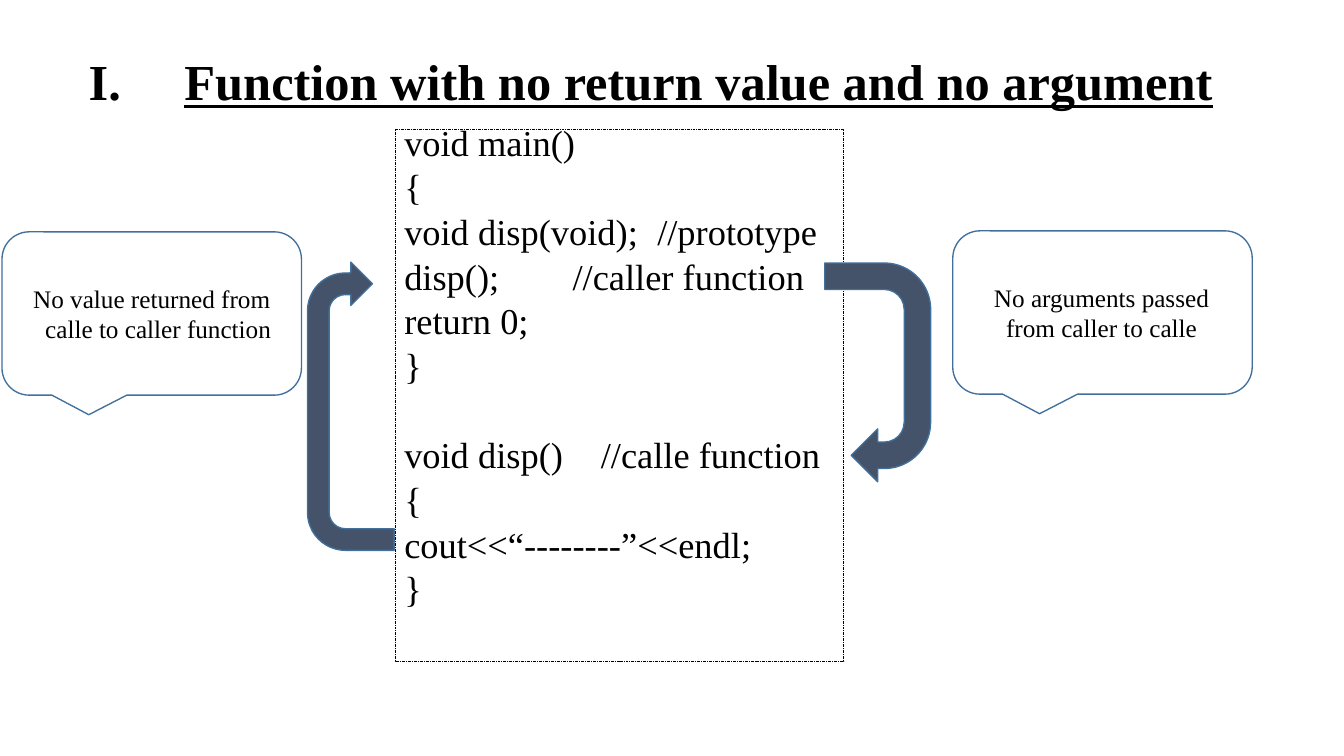
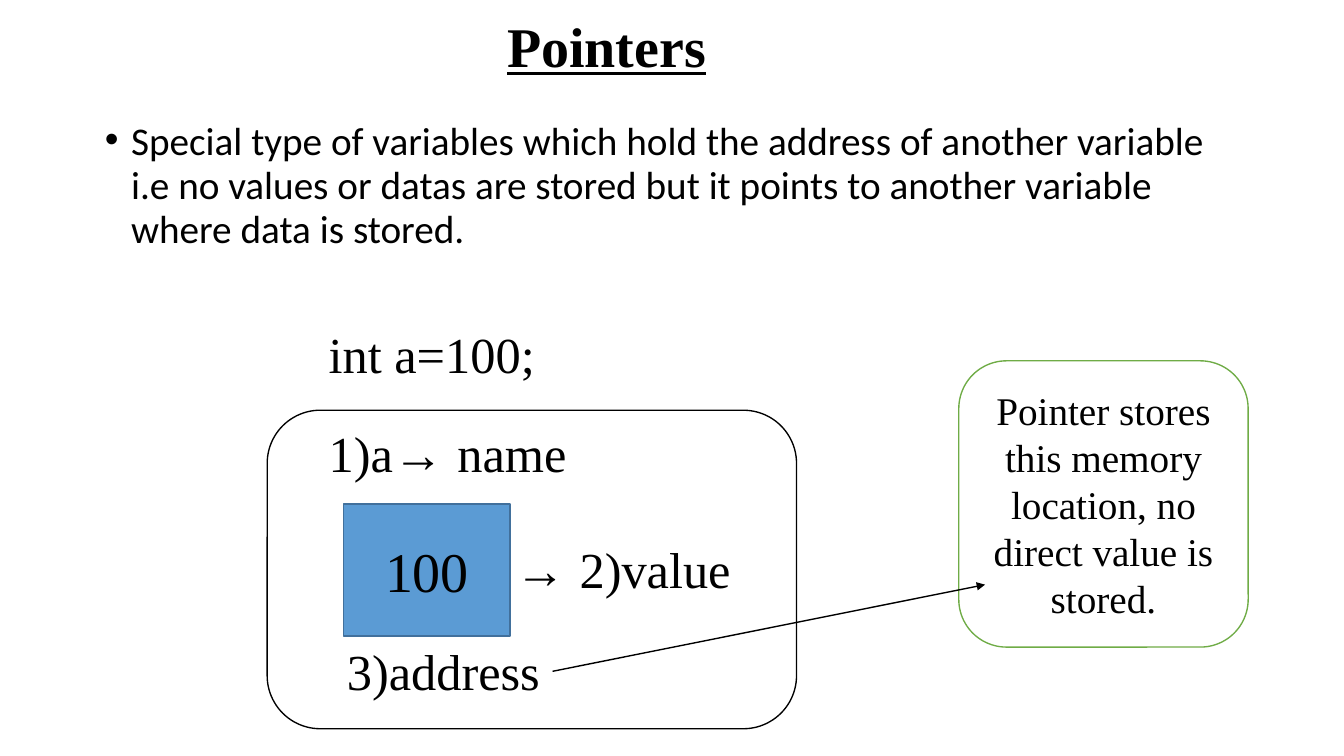
from lxml import etree
from pptx import Presentation, util as u
from pptx.dml.color import RGBColor
from pptx.enum import dml, shapes, text
from pptx.oxml.ns import qn

SCALE = 9144
SERIF, SANS, SYMBOL = "Times New Roman", "Calibri", "Arial"
BLACK, NAVY, SLATE, BLUE, GREEN = "000000", "41709C", "44536A", "5B9BD4", "6FAC46"
KIND, ALIGN = shapes.MSO_SHAPE, text.PP_ALIGN


def px(n):
    return u.Emu(n * SCALE)


def rgb(code):
    return RGBColor.from_string(code)


class Deck:
    """Holds the shared style and the current slide."""

    def __init__(self):
        self.prs = Presentation()
        self.prs.slide_width, self.prs.slide_height = px(1333), px(750)
        self.slide = None

    def page(self):
        self.slide = self.prs.slides.add_slide(self.prs.slide_layouts[6])

    def frame(self, item, pads=(0, 0, 0, 0), anchor=text.MSO_ANCHOR.TOP):
        tf = item.text_frame
        tf.word_wrap = True
        tf.vertical_anchor = anchor
        tf.margin_left, tf.margin_top, tf.margin_right, tf.margin_bottom = map(px, pads)
        return tf

    def props(self, para, hang=0, bullet=None, tab=None):
        ppr = para._p.get_or_add_pPr()
        if hang:
            ppr.set("marL", str(px(hang)))
            ppr.set("indent", str(-px(hang)))
        if bullet:
            etree.SubElement(ppr, qn("a:buFont")).set("typeface", SYMBOL)
            etree.SubElement(ppr, qn("a:buChar")).set("char", bullet)
        if tab:
            stops = etree.SubElement(ppr, qn("a:tabLst"))
            stop = etree.SubElement(stops, qn("a:tab"))
            stop.set("pos", str(px(tab)))
            stop.set("algn", "l")

    def run(self, para, words, size, font=SERIF, bold=False, under=False):
        run = para.add_run()
        run.text = words
        face = run.font
        face.name, face.size, face.bold, face.underline = font, u.Pt(size), bold, under
        face.color.rgb = rgb(BLACK)

    def box(self, x, y, w, h):
        return self.frame(self.slide.shapes.add_textbox(px(x), px(y), px(w), px(h)))

    def title(self, x, y, w, size, words, mark=None):
        para = self.box(x, y, w, 63).paragraphs[0]
        if mark:
            self.props(para, tab=95)
            self.run(para, mark + "\t", size, bold=True)
        self.run(para, words, size, bold=True, under=True)

    def label(self, x, y, *runs):
        para = self.box(x, y, 270, 60).paragraphs[0]
        for words, font in runs:
            self.run(para, words, 36, font)

    def bullet(self, x, y, w, h, words):
        para = self.box(x, y, w, h).paragraphs[0]
        self.props(para, hang=26, bullet="•")
        para.line_spacing = u.Pt(31.5)
        self.run(para, words, 28, SANS)

    def code(self, x, y, w, h, lines):
        tf = self.box(x, y, w, h)
        for i, (words, tab, gap) in enumerate(lines):
            para = tf.add_paragraph() if i else tf.paragraphs[0]
            self.props(para, tab=tab)
            para.line_spacing, para.space_before = u.Pt(31.9), u.Pt(gap)
            self.run(para, words, 26)

    def shape(self, kind, x, y, w, h, fill=None, line=BLACK, width=0.96):
        item = self.slide.shapes.add_shape(kind, px(x), px(y), px(w), px(h))
        item.shadow.inherit = False
        if fill:
            item.fill.solid()
            item.fill.fore_color.rgb = rgb(fill)
        else:
            item.fill.background()
        item.line.color.rgb = rgb(line)
        item.line.width = u.Pt(width)
        return item

    def inner(self, item, words, size, pads=(0, 0, 0, 0), hang=0, lead=None):
        para = self.frame(item, pads, text.MSO_ANCHOR.MIDDLE).paragraphs[0]
        self.props(para, hang)
        para.alignment = ALIGN.LEFT if hang else ALIGN.CENTER
        if lead:
            para.line_spacing = u.Pt(lead)
        self.run(para, words, size)

    def callout(self, x, y, pad, words):
        item = self.shape(KIND.ROUNDED_RECTANGULAR_CALLOUT, x, y, 297, 162, line=NAVY)
        item.adjustments[0], item.adjustments[1] = -0.21, 0.62
        self.inner(item, words, 18, (pad, 0, 10, 0), 12, 21.4)

    def turn(self, x, y, w, h, angle):
        left, top = x + (w - h) // 2, y + (h - w) // 2
        self.shape(KIND.U_TURN_ARROW, left, top, h, w, SLATE, NAVY).rotation = angle

    def dashed(self, x, y, w, h):
        item = self.shape(KIND.RECTANGLE, x, y, w, h, width=0.72)
        item.line.dash_style = dml.MSO_LINE.DASH_DOT
        item.line._get_or_add_ln().find(qn("a:prstDash")).set("val", "sysDashDot")

    def arrow(self, x1, y1, x2, y2):
        link = self.slide.shapes.add_connector(
            shapes.MSO_CONNECTOR.STRAIGHT, px(x1), px(y1), px(x2), px(y2))
        link.line.color.rgb = rgb(BLACK)
        link.line.width = u.Pt(1)
        head = etree.SubElement(link.line._get_or_add_ln(), qn("a:tailEnd"))
        head.set("type", "triangle")
        etree.SubElement(link._element.spPr, qn("a:effectLst"))


def calls(deck):
    deck.page()
    deck.title(88, 50, 1140, 36, "Function with no return value and no argument", "I.")
    deck.dashed(392, 128, 445, 528)
    deck.code(401, 118, 430, 490, [
        ("void main()", None, 0),
        ("{", None, 0),
        ("void disp(void);\t//prototype", 251, 0),
        ("disp();\t//caller function", 167, 0),
        ("return 0;", None, 0),
        ("}", None, 0),
        ("void disp()\t//calle function", 195, 32),
        ("{", None, 0),
        ("cout<<“--------”<<endl;", None, 0),
        ("}", None, 0),
    ])
    deck.turn(818, 261, 105, 217, 90)
    deck.turn(305, 260, 86, 286, 270)
    deck.callout(945, 229, 33, "No arguments passed from caller to calle")
    deck.callout(2, 230, 23, "No value returned from calle to caller function")


def pointers(deck):
    deck.page()
    deck.title(503, 11, 220, 40, "Pointers")
    deck.bullet(104, 118, 1091, 133,
                "Special type of variables which hold the address of another variable "
                "i.e no values or datas are stored but it points to another variable "
                "where data is stored.")
    deck.inner(deck.shape(KIND.RECTANGLE, 341, 500, 165, 131, BLUE, NAVY), "100", 40)
    deck.label(326, 321, ("int a=100;", SERIF))
    deck.label(326, 419, ("1)a", SERIF), ("→ ", SYMBOL), ("name", SERIF))
    deck.label(511, 534, ("→ ", SYMBOL), ("2)value", SERIF))
    deck.label(344, 635, ("3)address", SERIF))
    deck.shape(KIND.ROUNDED_RECTANGLE, 265, 407, 525, 316)
    note = deck.shape(KIND.ROUNDED_RECTANGLE, 951, 358, 287, 284, line=GREEN)
    deck.inner(note, "Pointer stores this memory location, no direct value is stored.",
               28, (20, 0, 20, 0), lead=33.6)
    deck.arrow(548, 666, 977, 580)


def main():
    deck = Deck()
    calls(deck)
    pointers(deck)
    deck.prs.save("out.pptx")


if __name__ == "__main__":
    main()
